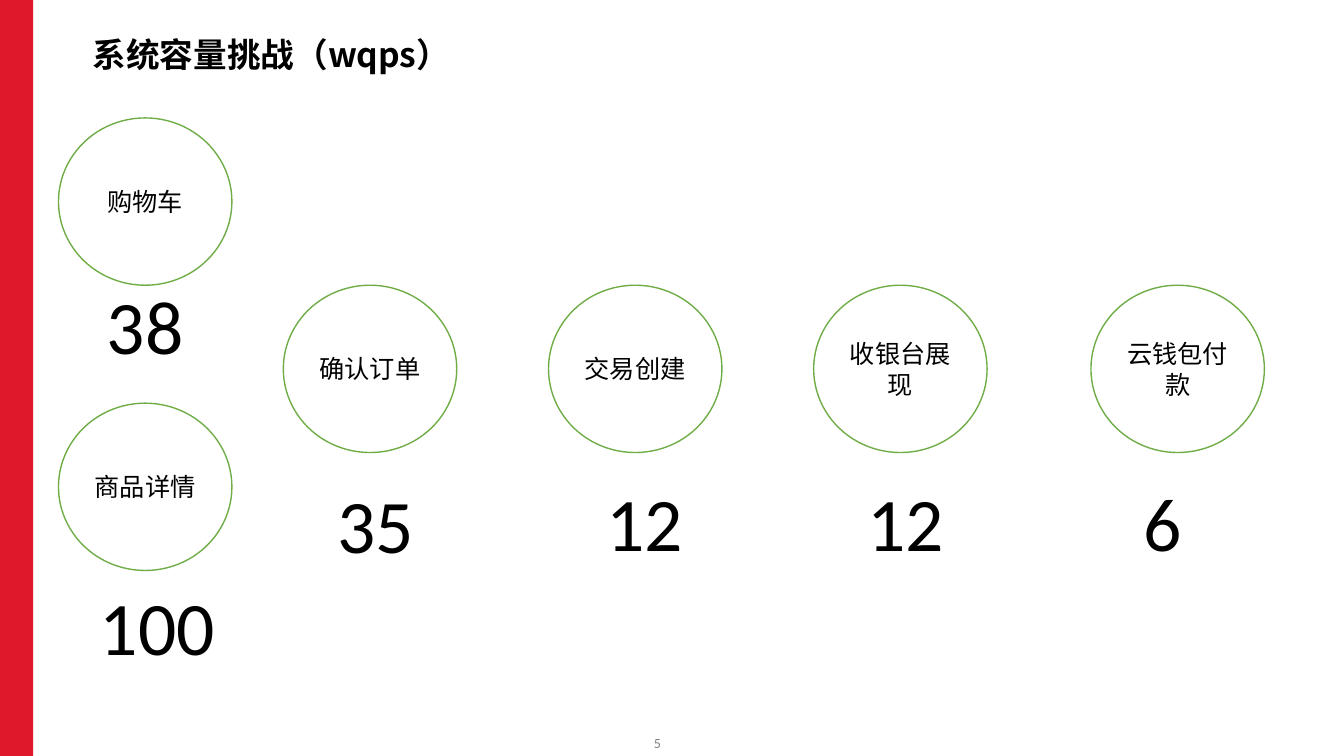
from lxml import etree
from pptx import Presentation
from pptx.dml.color import RGBColor
from pptx.enum.shapes import MSO_SHAPE
from pptx.enum.text import MSO_ANCHOR, PP_ALIGN
from pptx.oxml.ns import qn
from pptx.util import Inches, Pt

RED = RGBColor(0xE0, 0x18, 0x2C)
GREEN = RGBColor(0x70, 0xAD, 0x47)
GRAY = RGBColor(0x80, 0x80, 0x80)
BLACK = RGBColor(0, 0, 0)
WHITE = RGBColor(255, 255, 255)
CHINESE_FONT = "Noto Sans CJK SC"


def write(shape, text, size, color=BLACK, font="Calibri", align=PP_ALIGN.CENTER):
    """Put one formatted paragraph into a shape and return its run."""
    shape.text_frame.text = text
    paragraph = shape.text_frame.paragraphs[0]
    paragraph.alignment = align
    run = paragraph.runs[0]
    run.font.size = Pt(size)
    run.font.name = font
    run.font.color.rgb = color
    east_asian = etree.SubElement(run.font._element, qn("a:ea"))
    east_asian.set("typeface", CHINESE_FONT)
    return run


def set_margins(text_frame, side):
    text_frame.margin_left = text_frame.margin_right = Inches(side)
    text_frame.margin_top = text_frame.margin_bottom = 0


presentation = Presentation()
presentation.slide_width = Inches(13.33)
presentation.slide_height = Inches(7.5)
slide = presentation.slides.add_slide(presentation.slide_layouts[5])

# Red band on the left edge
band = slide.shapes.add_shape(MSO_SHAPE.RECTANGLE, 0, 0, Inches(0.33), Inches(7.5))
band.shadow.inherit = False
band.fill.solid()
band.fill.fore_color.rgb = RED
band.line.fill.background()

# Title
title = slide.shapes.title
title.left, title.top = Inches(0.82), Inches(0.12)
title.width, title.height = Inches(12.07), Inches(0.62)
set_margins(title.text_frame, 0.1)
title.text_frame.vertical_anchor = MSO_ANCHOR.BOTTOM
title_run = write(title, "系统容量挑战（wqps）", 24, font=CHINESE_FONT, align=PP_ALIGN.LEFT)
title_run.font.bold = True
title.text_frame.paragraphs[0].line_spacing = 0.9

# Each step: label, circle left and top, load, load left, top and width
steps = [
    ("购物车", 0.58, 1.17, "38", 0.7, 2.72, 1.48),
    ("商品详情", 0.58, 4, "100", 0.82, 5.7, 1.48),
    ("确认订单", 2.81, 2.83, "35", 3.11, 4.69, 1.23),
    ("交易创建", 5.44, 2.83, "12", 5.78, 4.67, 1.23),
    ("收银台展现", 8.07, 2.83, "12", 8.32, 4.67, 1.32),
    ("云钱包付款", 10.82, 2.83, "6", 11.07, 4.67, 0.93),
]
for label, left, top, load, load_left, load_top, load_width in steps:
    circle = slide.shapes.add_shape(
        MSO_SHAPE.OVAL, Inches(left), Inches(top), Inches(1.72), Inches(1.66))
    circle.shadow.inherit = False
    circle.fill.solid()
    circle.fill.fore_color.rgb = WHITE
    circle.line.color.rgb = GREEN
    circle.line.width = Pt(1)
    circle.text_frame.vertical_anchor = MSO_ANCHOR.MIDDLE
    write(circle, label, 18)

    load_box = slide.shapes.add_textbox(
        Inches(load_left), Inches(load_top), Inches(load_width), Inches(1.01))
    load_box.text_frame.word_wrap = True
    write(load_box, load, 54)

# Page number
page_number = slide.shapes.add_textbox(
    Inches(6.44), Inches(7.29), Inches(0.16), Inches(0.17))
set_margins(page_number.text_frame, 0)
page_number.text_frame.vertical_anchor = MSO_ANCHOR.MIDDLE
write(page_number, "5", 10, GRAY)

presentation.save("out.pptx")
